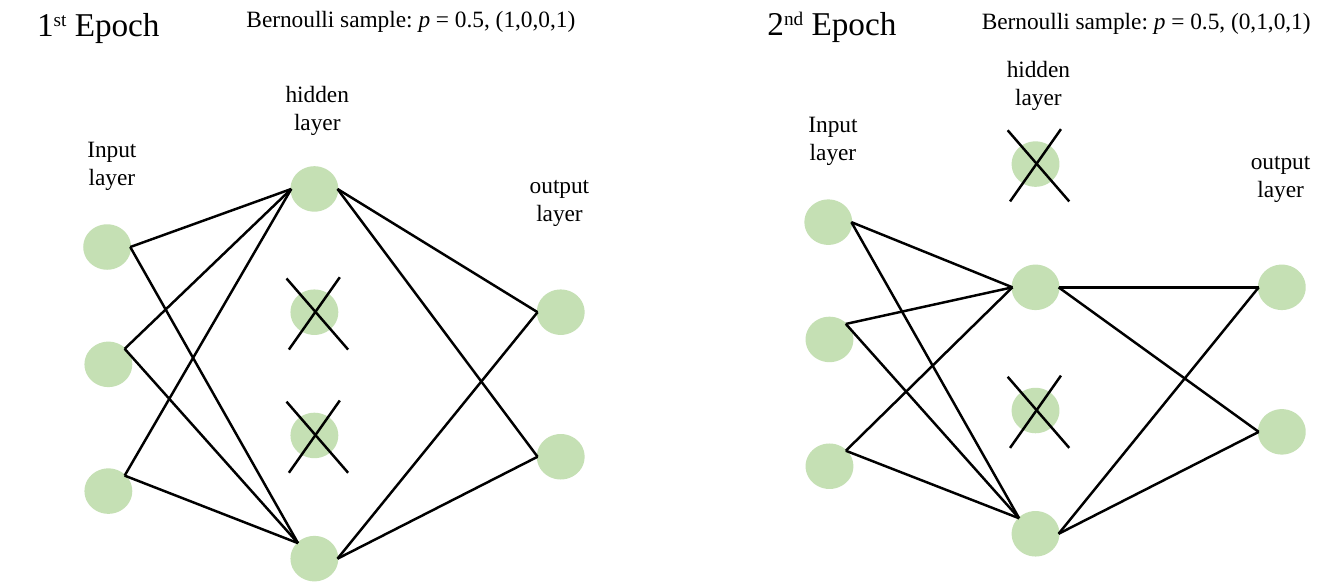
import pptx
import pptx.dml.color
import pptx.enum.shapes
import pptx.enum.text
import pptx.oxml.ns
import pptx.util
from lxml import etree
from pptx.util import Inches

GREEN = pptx.dml.color.RGBColor(0xC5, 0xE0, 0xB4)
BLACK = pptx.dml.color.RGBColor(0, 0, 0)
FONT = "Times New Roman"
HEADING_SIZE = 20.2
LABEL_SIZE = 14.2

NODE_WIDTH, NODE_HEIGHT = 0.39, 0.37
INPUT_NODES = [(0.71, 1.9), (0.72, 2.89), (0.72, 3.96)]
HIDDEN_NODES = [(2.46, 1.41 + 1.04 * row) for row in range(4)]
OUTPUT_NODES = [(4.54, 2.45), (4.54, 3.67)]
LAYER_LABELS = [
    ("Input", 0.63, 1.08, 0.63),
    ("hidden", 2.31, 0.62, 0.74),
    ("output", 4.37, 1.39, 0.71),
]
CROSS_STROKES = [((-0.04, -0.1), (0.48, 0.5)), ((0.41, -0.11), (-0.02, 0.5))]

LEFT = (0, 0.5)
RIGHT = (1, 0.5)
TOP_LEFT = (0.146, 0.146)
TOP_RIGHT = (0.854, 0.146)


def place(box, left, top, width, height):
    box.left, box.top = Inches(left), Inches(top)
    box.width, box.height = Inches(width), Inches(height)


def format_text(frame, size):
    frame.word_wrap = False
    frame.auto_size = pptx.enum.text.MSO_AUTO_SIZE.SHAPE_TO_FIT_TEXT
    frame.vertical_anchor = pptx.enum.text.MSO_ANCHOR.TOP
    for paragraph in frame.paragraphs:
        paragraph.alignment = pptx.enum.text.PP_ALIGN.CENTER
        for run in paragraph.runs:
            run.font.name = FONT
            run.font.size = pptx.util.Pt(size)
            run.font.color.rgb = BLACK


def add_label(slide, text, left, top, width, height):
    label = slide.shapes.add_textbox(
        Inches(left), Inches(top), Inches(width), Inches(height))
    label.text_frame.text = text
    format_text(label.text_frame, LABEL_SIZE)


def write_heading(heading, number, ordinal, left, top, width):
    place(heading, left, top, width, 0.44)
    paragraph = heading.text_frame.paragraphs[0]
    for part in (number, ordinal, " Epoch"):
        paragraph.add_run().text = part
    format_text(heading.text_frame, HEADING_SIZE)
    paragraph.runs[1].font._element.set("baseline", "30000")


def add_sample(slide, draws, left, top):
    sample = slide.shapes.add_textbox(
        Inches(left), Inches(top), Inches(3), Inches(0.34))
    paragraph = sample.text_frame.paragraphs[0]
    for part in ("Bernoulli sample: ", "p", f" = 0.5, {draws}"):
        paragraph.add_run().text = part
    format_text(sample.text_frame, LABEL_SIZE)
    paragraph.runs[1].font.italic = True


def add_node(slide, node):
    neuron = slide.shapes.add_shape(
        pptx.enum.shapes.MSO_SHAPE.OVAL, Inches(node[0]), Inches(node[1]),
        Inches(NODE_WIDTH), Inches(NODE_HEIGHT))
    neuron.shadow.inherit = False
    neuron.fill.solid()
    neuron.fill.fore_color.rgb = GREEN
    neuron.line.color.rgb = GREEN
    neuron.line.width = pptx.util.Pt(1)


def add_line(slide, start, end):
    line = slide.shapes.add_connector(
        pptx.enum.shapes.MSO_CONNECTOR.STRAIGHT,
        Inches(start[0]), Inches(start[1]), Inches(end[0]), Inches(end[1]))
    line.line.color.rgb = BLACK
    line.line.width = pptx.util.Pt(1.5)
    etree.SubElement(line._element.spPr, pptx.oxml.ns.qn("a:effectLst"))


def edge_point(node, side):
    return node[0] + NODE_WIDTH * side[0], node[1] + NODE_HEIGHT * side[1]


def shift(points, dx, dy):
    return [(x + dx, y + dy) for x, y in points]


def add_cross(slide, node):
    for stroke in CROSS_STROKES:
        start, end = shift(stroke, *node)
        add_line(slide, start, end)


def add_network(slide, dx, dy, kept_rows):
    inputs = shift(INPUT_NODES, dx, dy)
    hidden = shift(HIDDEN_NODES, dx, dy)
    outputs = shift(OUTPUT_NODES, dx, dy)
    for node in inputs + hidden + outputs:
        add_node(slide, node)
    for row, neuron in enumerate(hidden):
        if row not in kept_rows:
            add_cross(slide, neuron)
            continue
        entry = TOP_LEFT if row == len(hidden) - 1 else LEFT
        for index, source in enumerate(inputs):
            leave = RIGHT if index == 0 else TOP_RIGHT
            add_line(slide, edge_point(source, leave), edge_point(neuron, entry))
        for target in outputs:
            add_line(slide, edge_point(neuron, RIGHT), edge_point(target, LEFT))
    for layer, left, top, width in LAYER_LABELS:
        add_label(slide, f"{layer}\nlayer", left + dx, top + dy, width, 0.58)


def main():
    deck = pptx.Presentation()
    deck.slide_width, deck.slide_height = Inches(11.35), Inches(4.92)
    slide = deck.slides.add_slide(deck.slide_layouts.get_by_name("Title Only"))

    write_heading(slide.shapes.title, "1", "st", 0.17, -0.02, 1.32)
    add_sample(slide, "(1,0,0,1)", 1.97, -0.01)
    add_network(slide, 0, 0, kept_rows=(0, 3))

    second_heading = slide.shapes.add_textbox(0, 0, 0, 0)
    write_heading(second_heading, "2", "nd", 6.38, -0.03, 1.29)
    add_sample(slide, "(0,1,0,1)", 8.18, 0)
    add_network(slide, 6.09, -0.21, kept_rows=(1, 3))

    deck.save("out.pptx")


if __name__ == "__main__":
    main()
